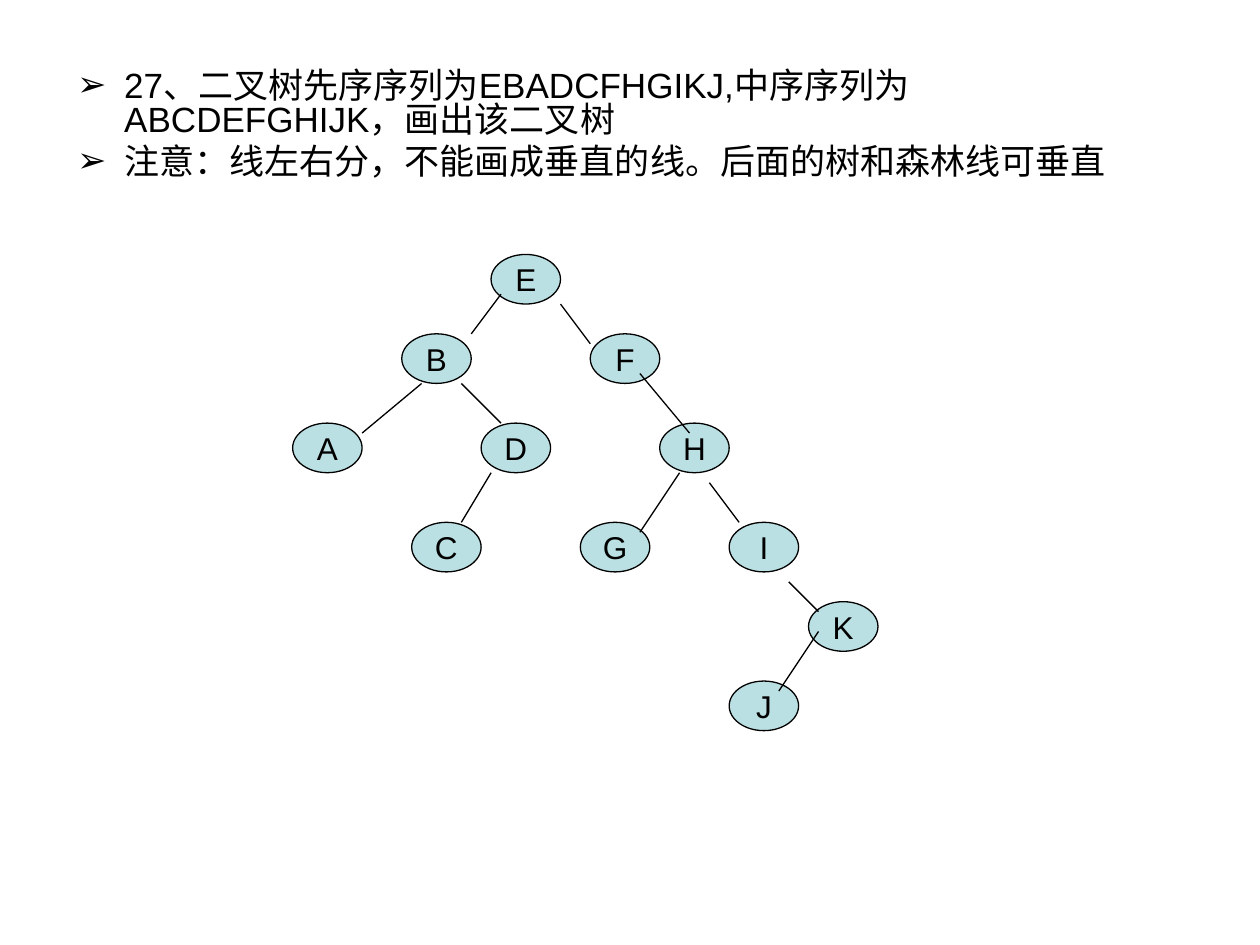
from dataclasses import dataclass

from lxml.etree import SubElement
from pptx import Presentation
from pptx.dml.color import RGBColor
from pptx.enum.shapes import MSO_CONNECTOR as Connector, MSO_SHAPE as Shape
from pptx.enum.text import MSO_ANCHOR as Anchor, MSO_AUTO_SIZE as AutoSize, PP_ALIGN as Align
from pptx.oxml.ns import qn
from pptx.util import Cm, Pt


@dataclass(frozen=True)
class Theme:
    font: str = "Arial"
    ink: RGBColor = RGBColor(0, 0, 0)
    node_fill: RGBColor = RGBColor(0xBB, 0xE0, 0xE3)
    body_size: Pt = Pt(20)
    node_size: Pt = Pt(18)
    line_width: Pt = Pt(0.75)


THEME = Theme()
STEP = 0.2
ROOT_LEFT, ROOT_TOP = 9.9, 5.13

NOTES = [
    "27、二叉树先序序列为EBADCFHGIKJ,中序序列为ABCDEFGHIJK，画出该二叉树",
    "注意：线左右分，不能画成垂直的线。后面的树和森林线可垂直",
]

NODES = {
    "E": (0, 0), "B": (-9, 8), "A": (-20, 17), "D": (-1, 17),
    "C": (-8, 27), "F": (10, 8), "H": (17, 17), "G": (9, 27),
    "I": (24, 27), "K": (32, 35), "J": (24, 43),
}

BRANCHES = [
    ((1, 4), (-2, 8)),
    ((7, 5), (10, 9)),
    ((-7, 13), (-13, 18)),
    ((-3, 13), (1, 17)),
    ((0, 22), (-3, 27)),
    ((15, 12), (20, 18)),
    ((19, 22), (15, 28)),
    ((22, 23), (25, 27)),
    ((30, 33), (33, 36)),
    ((33, 38), (29, 44)),
]


def grid_point(column, row):
    return Cm(ROOT_LEFT + column * STEP), Cm(ROOT_TOP + row * STEP)


def style_text(para, size):
    para.font.name = THEME.font
    para.font.size = size
    para.font.color.rgb = THEME.ink


def style_line(line):
    line.color.rgb = THEME.ink
    line.width = THEME.line_width


def add_bullet(para):
    properties = para._p.get_or_add_pPr()
    properties.set("marL", str(Cm(0.95)))
    properties.set("indent", str(-Cm(0.95)))
    color = SubElement(properties, qn("a:buClr"))
    SubElement(color, qn("a:srgbClr"), val=str(THEME.ink))
    SubElement(properties, qn("a:buFont"), typeface=THEME.font)
    SubElement(properties, qn("a:buChar"), char="➢")


def fill_body(box, lines):
    box.left, box.top, box.width, box.height = Cm(1.3), Cm(1.32), Cm(22.86), Cm(3.2)
    frame = box.text_frame
    frame.auto_size = AutoSize.NONE
    frame.text = "\n".join(lines)
    for para in frame.paragraphs:
        para.line_spacing = 0.8
        para.space_before = Pt(5)
        add_bullet(para)
        style_text(para, THEME.body_size)


def add_node(page, label, position):
    node = page.shapes.add_shape(Shape.OVAL, *grid_point(*position), Cm(1.4), Cm(1))
    node.shadow.inherit = False
    node.fill.solid()
    node.fill.fore_color.rgb = THEME.node_fill
    style_line(node.line)
    frame = node.text_frame
    frame.word_wrap = False
    frame.vertical_anchor = Anchor.MIDDLE
    frame.text = label
    para = frame.paragraphs[0]
    para.alignment = Align.CENTER
    style_text(para, THEME.node_size)


def add_branch(page, start, end):
    branch = page.shapes.add_connector(
        Connector.STRAIGHT, *grid_point(*start), *grid_point(*end)
    )
    style_line(branch.line)
    SubElement(branch._element.spPr, qn("a:effectLst"))


def main():
    deck = Presentation()
    deck.slide_width, deck.slide_height = Cm(25.4), Cm(19.05)
    page = deck.slides.add_slide(deck.slide_layouts[1])
    title = page.shapes.title._element
    title.getparent().remove(title)
    fill_body(page.placeholders[1], NOTES)
    for label, position in NODES.items():
        add_node(page, label, position)
    for start, end in BRANCHES:
        add_branch(page, start, end)
    deck.save("out.pptx")


if __name__ == "__main__":
    main()
